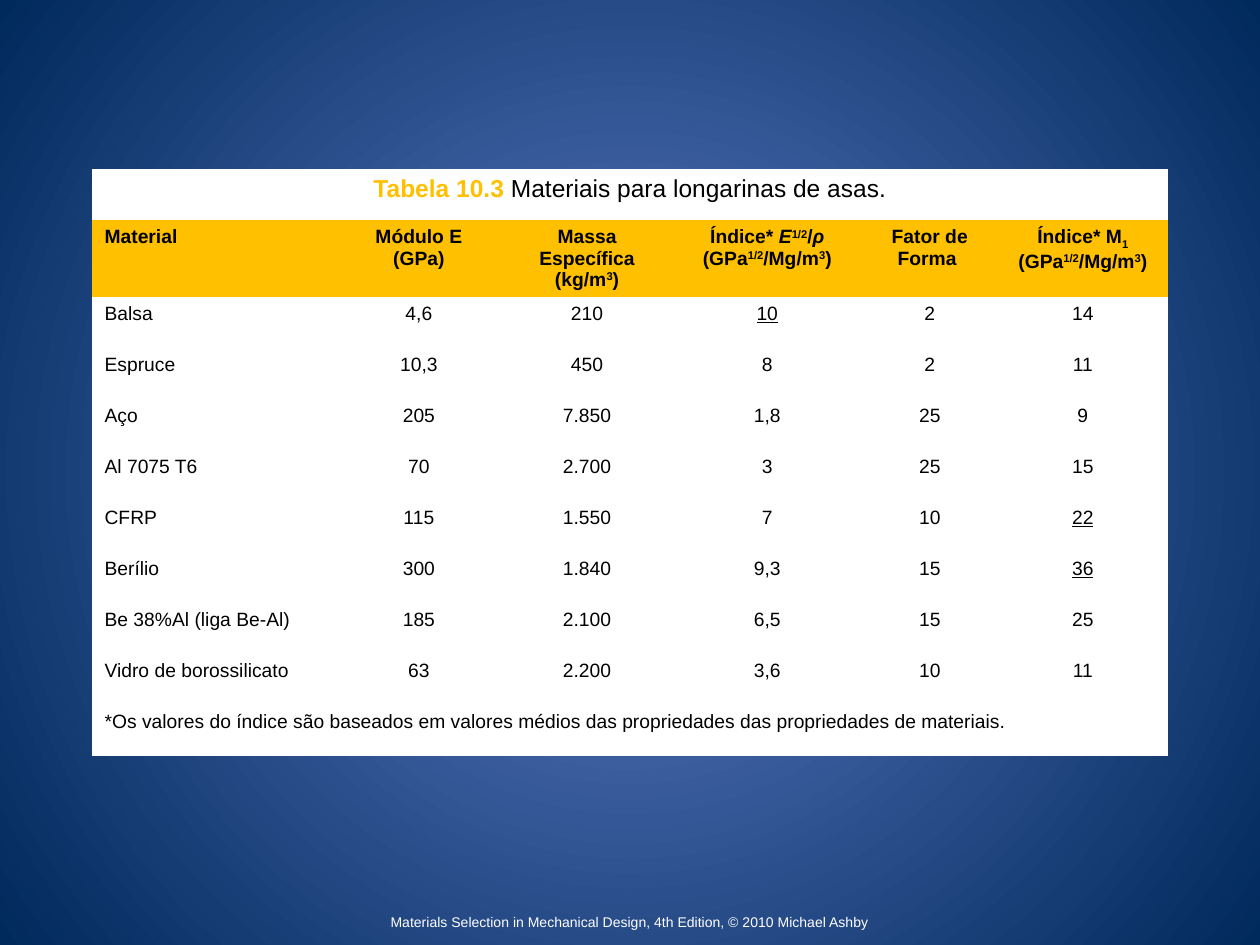
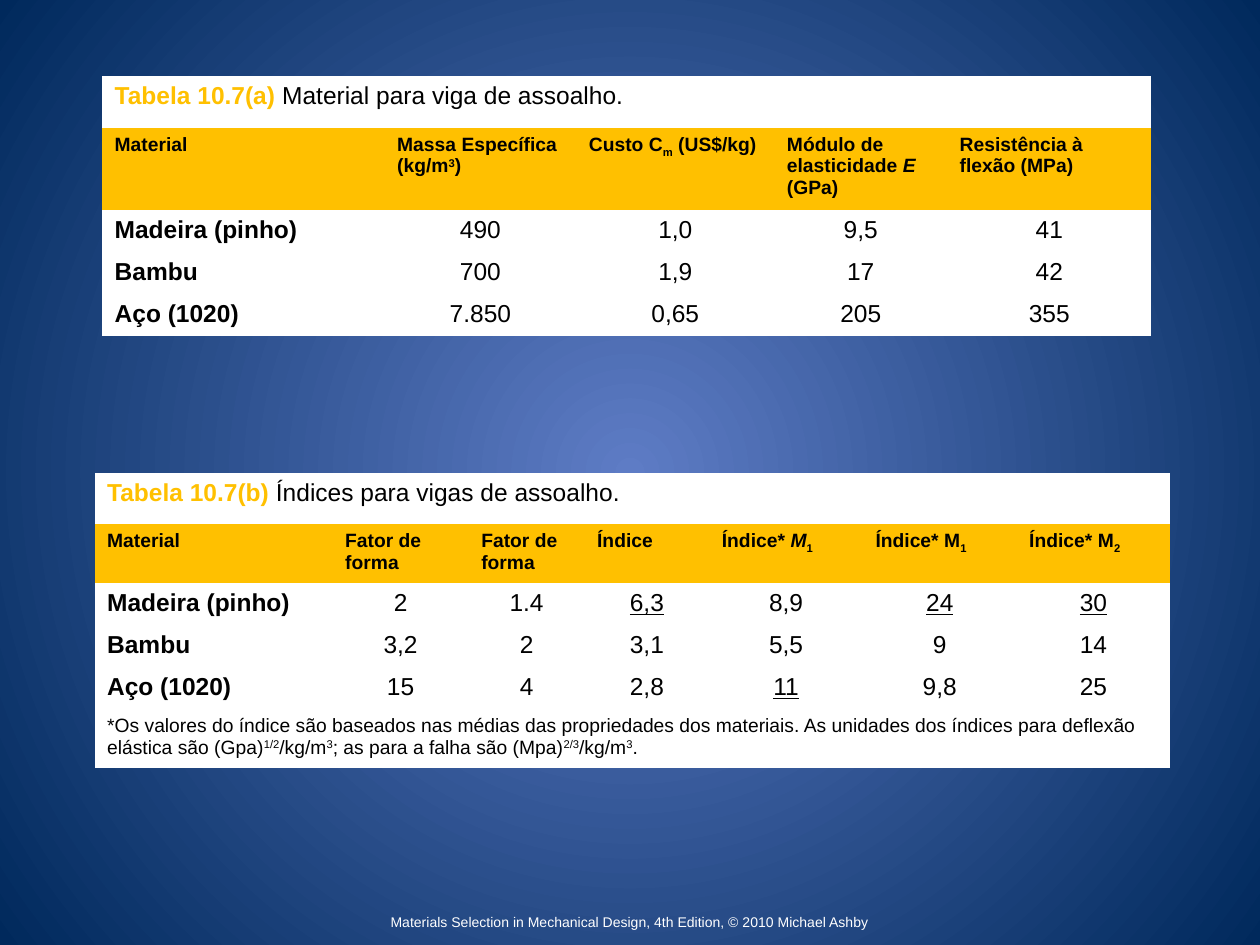
from lxml import etree
from pptx import Presentation
from pptx.dml.color import RGBColor
from pptx.enum.text import MSO_ANCHOR, PP_ALIGN
from pptx.oxml.ns import qn
from pptx.util import Inches, Pt

LEFT, CENTER, JUSTIFY = PP_ALIGN.LEFT, PP_ALIGN.CENTER, PP_ALIGN.JUSTIFY
MIDDLE = MSO_ANCHOR.MIDDLE
WIDTH, HEIGHT = Inches(10), Inches(7.5)
BLANK_LAYOUT = 6
FONT = "Arial"
PLAIN_TABLE = "{2D5ABB26-0587-4C30-8999-92F81FD0307C}"
COLORS = {
    "glow": "5E7CC5",
    "navy": "00295C",
    "gold": "FFC000",
    "white": "FFFFFF",
    "black": "000000",
}
CREDIT = "Materials Selection in Mechanical Design, 4th Edition, © 2010 Michael Ashby"
CREDIT_BOX = (0, 95.6, 100, 4)

MARKS = {
    "^": {"baseline": "30000"},
    "_": {"baseline": "-25000"},
    "~": {"italic": True},
    "=": {"underline": True},
    "#": {"bold": True, "color": "gold"},
}

WING_SPARS = {
    "box": (7.3, 17.9, 85.4, 62.1),
    "columns": (1.94, 1.31, 1.36, 1.5, 1.08, 1.35),
    "rows": (2, 3) + (2,) * 9,
    "caption": "#Tabela 10.3| Materiais para longarinas de asas.",
    "caption_align": CENTER,
    "header": (
        "Material", "Módulo E (GPa)", "Massa Específica (kg/m|^3|)",
        "Índice* |~E|^1/2|/|~ρ |(GPa|^1/2|/Mg/m|^3|)", "Fator de Forma ",
        "Índice* M|_1| (GPa|^1/2|/Mg/m|^3|)",
    ),
    "header_align": CENTER,
    "body": (
        ("Balsa", "4,6", "210", "=10", "2", "14"),
        ("Espruce", "10,3", "450", "8", "2", "11"),
        ("Aço", "205", "7.850", "1,8", "25", "9"),
        ("Al 7075 T6", "70", "2.700", "3", "25", "15"),
        ("CFRP", "115", "1.550", "7", "10", "=22"),
        ("Berílio", "300", "1.840", "9,3", "15", "=36"),
        ("Be 38%Al (liga Be-Al)", "185", "2.100", "6,5", "15", "25"),
        ("Vidro de borossilicato", "63", "2.200", "3,6", "10", "11"),
    ),
    "body_size": 11,
    "bold_names": False,
    "note": "*Os valores do índice são baseados em valores médios das "
            "propriedades das propriedades de materiais.",
}

FLOOR_MATERIALS = {
    "box": (8.1, 8.07, 83.3, 22.9),
    "columns": (2.24, 1.52, 1.57, 1.37, 1.62),
    "rows": (0.41, 0.41, 0.3, 0.3, 0.3),
    "caption": "#Tabela 10.7(a)| Material para viga de assoalho.",
    "caption_align": JUSTIFY,
    "header": (
        "Material", "Massa Específica (kg/m|^3|)", "Custo C|_m| (US$/kg)",
        "Módulo de elasticidade |~E| (GPa)", "Resistência à flexão (MPa)",
    ),
    "header_align": LEFT,
    "body": (
        ("Madeira (pinho)", "490", "1,0", "9,5", "41"),
        ("Bambu", "700", "1,9", "17", "42"),
        ("Aço (1020)", "7.850", "0,65", "205", "355"),
    ),
    "body_size": 14,
    "bold_names": True,
}

FLOOR_INDICES = {
    "box": (7.5, 50, 85.4, 27.3),
    "columns": (1.89, 1.08, 0.92, 0.99, 1.22, 1.22, 1.22),
    "rows": (0.41, 0.41, 0.31, 0.31, 0.31, 0.3),
    "caption": "#Tabela 10.7(b)| Índices para vigas de assoalho.",
    "caption_align": JUSTIFY,
    "caption_span": 6,
    "header": (
        "Material", "Fator de forma", "Fator de forma", "Índice",
        "Índice* |~M|_1", "Índice* M|_1", "Índice* M|_2",
    ),
    "header_align": LEFT,
    "body": (
        ("Madeira (pinho)", "2", "1.4", "=6,3", "8,9", "=24", "=30"),
        ("Bambu", "3,2", "2", "3,1", "5,5", "9", "14"),
        ("Aço (1020)", "15", "4", "2,8", "=11", "9,8", "25"),
    ),
    "body_size": 14,
    "bold_names": True,
    "note": "*Os valores do índice são baseados nas médias das propriedades dos "
            "materiais. As unidades dos índices para deflexão elástica são "
            "(Gpa)|^1/2|/kg/m|^3|; as para a falha são (Mpa)|^2/3|/kg/m|^3|.",
}


def rgb(name):
    return RGBColor.from_string(COLORS[name])


def place(box):
    return [round(side * percent / 100)
            for side, percent in zip((WIDTH, HEIGHT) * 2, box)]


def write(frame, text, size, align=LEFT, color="black", bold=False):
    paragraph = frame.paragraphs[0]
    paragraph.alignment = align
    for part in text.split("|"):
        mark = MARKS.get(part[0], {})
        style = {"name": FONT, "size": Pt(size), "bold": bold, "color": color, **mark}
        baseline = style.pop("baseline", None)
        run = paragraph.add_run()
        run.text = part[1:] if mark else part
        run.font.color.rgb = rgb(style.pop("color"))
        for attribute, value in style.items():
            setattr(run.font, attribute, value)
        if baseline:
            run._r.get_or_add_rPr().set("baseline", baseline)


def add_background(slide):
    fill = slide.background.fill
    fill.gradient()
    for stop, color in zip(fill.gradient_stops, ("glow", "navy")):
        stop.color.rgb = rgb(color)
    gradient = slide._element.find(".//" + qn("a:gradFill"))
    gradient.remove(gradient.find(qn("a:lin")))
    circle = etree.SubElement(gradient, qn("a:path"), path="circle")
    etree.SubElement(circle, qn("a:fillToRect"),
                     {side: "50000" for side in "ltrb"})


def add_credit(slide, box):
    frame = slide.shapes.add_textbox(*place(box)).text_frame
    frame.word_wrap = True
    frame.vertical_anchor = MIDDLE
    write(frame, CREDIT, 8, CENTER, "white")


def size_tracks(tracks, attribute, shares, total):
    for track, share in zip(tracks, shares):
        setattr(track, attribute, round(total * share / sum(shares)))


def add_material_table(slide, content):
    left, top, width, height = place(content["box"])
    columns, rows = content["columns"], content["rows"]
    table = slide.shapes.add_table(
        len(rows), len(columns), left, top, width, height).table
    table.first_row = table.horz_banding = False
    table._tbl.tblPr.find(qn("a:tableStyleId")).text = PLAIN_TABLE
    size_tracks(table.columns, "width", columns, width)
    size_tracks(table.rows, "height", rows, height)

    for index, row in enumerate(table.rows):
        for cell in row.cells:
            cell.fill.solid()
            cell.fill.fore_color.rgb = rgb("gold" if index == 1 else "white")

    caption = table.cell(0, 0)
    caption.merge(table.cell(0, content.get("caption_span", len(columns)) - 1))
    write(caption.text_frame, content["caption"], 14, content["caption_align"])

    for column, heading in enumerate(content["header"]):
        align = content["header_align"] if column else LEFT
        write(table.cell(1, column).text_frame, heading, 11, align, bold=True)

    for row, values in enumerate(content["body"], 2):
        for column, value in enumerate(values):
            write(table.cell(row, column).text_frame, value, content["body_size"],
                  CENTER if column else LEFT,
                  bold=content["bold_names"] and column == 0)

    if "note" in content:
        note = table.cell(len(rows) - 1, 0)
        note.merge(table.cell(len(rows) - 1, len(columns) - 1))
        write(note.text_frame, content["note"], 11)


def add_table_slide(deck, *tables):
    slide = deck.slides.add_slide(deck.slide_layouts[BLANK_LAYOUT])
    add_background(slide)
    for content in tables:
        add_material_table(slide, content)
    add_credit(slide, CREDIT_BOX)


def main():
    deck = Presentation()
    deck.slide_width, deck.slide_height = WIDTH, HEIGHT
    add_table_slide(deck, WING_SPARS)
    add_table_slide(deck, FLOOR_MATERIALS, FLOOR_INDICES)
    deck.save("out.pptx")


if __name__ == "__main__":
    main()
